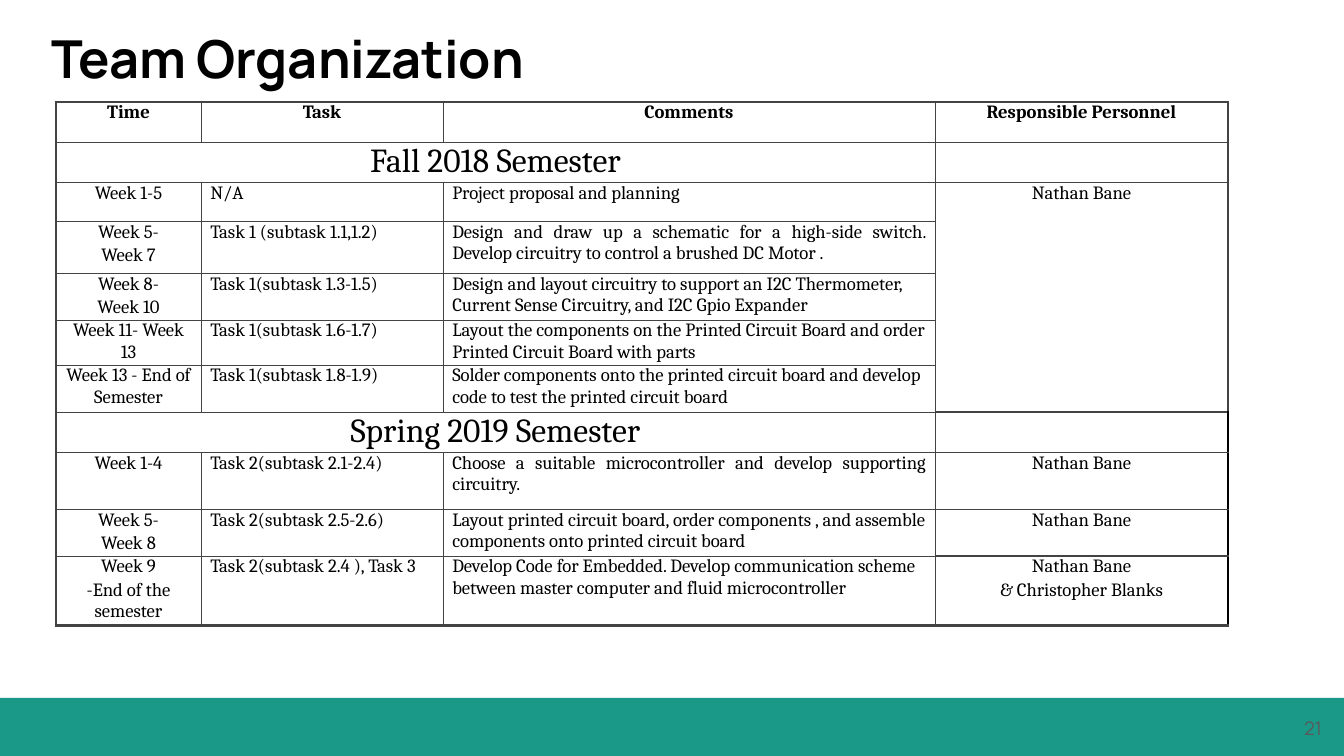
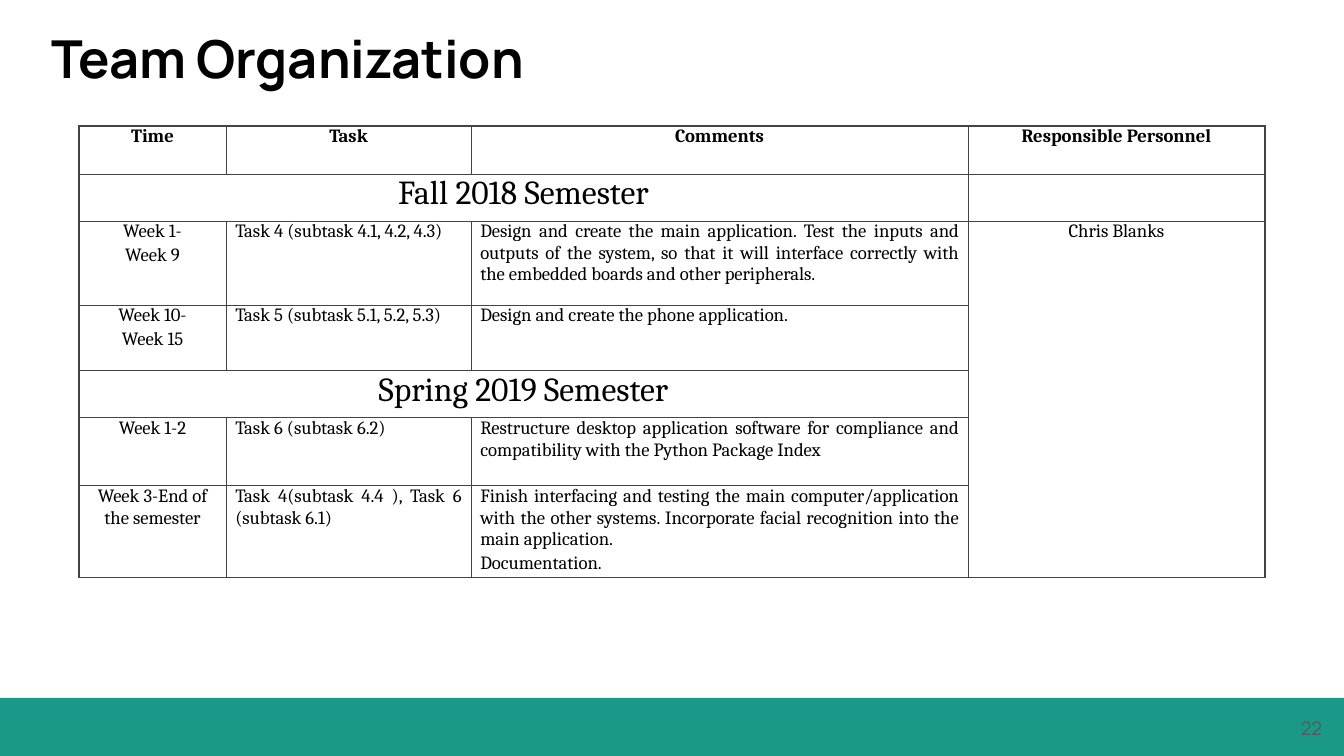
"""Build two team organization schedule slides."""
from dataclasses import dataclass, field
from typing import NamedTuple

from lxml import etree
from pptx import Presentation
from pptx import util as u
from pptx.dml.color import RGBColor
from pptx.enum import shapes, text
from pptx.oxml import ns

EMU_PER_PX = 914400 * 10 / 1344
ALIGN = text.PP_ALIGN


@dataclass(frozen=True)
class Theme:
    """Colours, fonts, sizes and line widths shared by the slides."""

    ink: str = "000000"
    band: str = "1A9988"
    rule: str = "434343"
    number: str = "595959"
    title_font: str = "Manrope"
    body_font: str = "Cambria"
    title_size: int = 28
    semester_size: int = 18
    body_size: int = 10
    thin: float = 0.5
    medium: float = 0.75
    thick: float = 1.5


THEME = Theme()


class Box(NamedTuple):
    """A rectangle in px."""

    left: int
    top: int
    width: int
    height: int


class Semester(NamedTuple):
    """A heading row across the first three columns."""

    height: int
    name: str


class Assignment(NamedTuple):
    """A row of work; lines within a cell are split by newlines."""

    height: int
    time: str
    task: str
    comments: str
    person: str = ""
    align: ALIGN = ALIGN.LEFT


@dataclass(frozen=True)
class Schedule:
    """One slide's table, with its merges and special borders."""

    number: int
    left: int
    top: int
    columns: tuple[int, ...]
    header_height: int
    rows: tuple[Semester | Assignment, ...]
    person_span: tuple[int, int]
    bottom: float
    person_rules: dict[int, float] = field(default_factory=dict)
    black_from: int | None = None


HEADINGS = ("Time", "Task", "Comments", "Responsible Personnel")
TITLE_BOX = Box(27, 13, 521, 79)
BAND_BOX = Box(0, 698, 1344, 58)
NUMBER_BOX = Box(1264, 706, 58, 44)

SCHEDULES = (
    Schedule(
        number=21, left=56, top=102, columns=(145, 242, 492, 293), header_height=40,
        rows=(
            Semester(40, "Fall 2018 Semester"),
            Assignment(39, "Week 1-5", "N/A", "Project proposal and planning", "Nathan Bane",
                       ALIGN.JUSTIFY),
            Assignment(52, "Week 5-\nWeek 7", "Task 1 (subtask 1.1,1.2)",
                       "Design and draw up a schematic for a high-side switch. "
                       "Develop circuitry to control a brushed DC Motor .",
                       align=ALIGN.JUSTIFY),
            Assignment(45, "Week 8-\nWeek 10", "Task 1(subtask 1.3-1.5)",
                       "Design and layout circuitry to support an I2C Thermometer, "
                       "Current Sense Circuitry, and I2C Gpio Expander"),
            Assignment(43, "Week 11- Week 13", "Task 1(subtask 1.6-1.7)",
                       "Layout the components on the Printed Circuit Board and "
                       "order Printed Circuit Board with parts"),
            Assignment(47, "Week 13 - End of Semester", "Task 1(subtask 1.8-1.9)",
                       "Solder components onto the printed circuit board and develop "
                       "code to test the printed circuit board"),
            Semester(39, "Spring 2019 Semester"),
            Assignment(57, "Week 1-4", "Task 2(subtask 2.1-2.4)",
                       "Choose a suitable microcontroller and develop supporting circuitry.",
                       "Nathan Bane", ALIGN.JUSTIFY),
            Assignment(45, "Week 5-\nWeek 8", "Task 2(subtask 2.5-2.6)",
                       "Layout printed circuit board, order components , and "
                       "assemble components onto printed circuit board", "Nathan Bane"),
            Assignment(67, "Week 9\n-End of the semester", "Task 2(subtask 2.4 ), Task 3",
                       "Develop Code for Embedded. Develop communication scheme "
                       "between master computer and fluid microcontroller",
                       "Nathan Bane\n& Christopher Blanks"),
        ),
        person_span=(2, 6), bottom=THEME.thick, black_from=7,
        person_rules={7: THEME.medium, 8: THEME.medium, 9: THEME.medium, 10: THEME.thick},
    ),
    Schedule(
        number=22, left=79, top=126, columns=(147, 245, 497, 297), header_height=48,
        rows=(
            Semester(47, "Fall 2018 Semester"),
            Assignment(84, "Week 1-\nWeek 9", "Task 4 (subtask 4.1, 4.2, 4.3)",
                       "Design and create the main application. Test the inputs and "
                       "outputs of the system, so that it will interface correctly with "
                       "the embedded boards and other peripherals.", "Chris Blanks",
                       ALIGN.JUSTIFY),
            Assignment(66, "Week 10-\nWeek 15", "Task 5 (subtask 5.1, 5.2, 5.3)",
                       "Design and create the phone application."),
            Semester(47, "Spring 2019 Semester"),
            Assignment(68, "Week 1-2", "Task 6 (subtask 6.2)",
                       "Restructure desktop application software for compliance and "
                       "compatibility with the Python Package Index", align=ALIGN.JUSTIFY),
            Assignment(88, "Week 3-End of the semester",
                       "Task 4(subtask 4.4 ), Task 6 (subtask 6.1)",
                       "Finish interfacing and testing the main computer/application "
                       "with the other systems. Incorporate facial recognition into the "
                       "main application.\nDocumentation.", align=ALIGN.JUSTIFY),
        ),
        person_span=(2, 6), bottom=THEME.thin,
    ),
)


def px(length: int) -> u.Emu:
    """Turn px into EMU."""
    return u.Emu(round(length * EMU_PER_PX))


def place(box: Box) -> tuple[u.Emu, ...]:
    """Give a box's position and size in EMU."""
    return tuple(px(length) for length in box)


def add_run(paragraph, words: str, size: float, font: str, color: str, bold: bool = False) -> None:
    """Append a styled run to a paragraph."""
    run = paragraph.add_run()
    run.text = words
    run.font.size = u.Pt(size)
    run.font.name = font
    run.font.bold = bold
    run.font.color.rgb = RGBColor.from_string(color)


def add_label(slide, box: Box, words: str, size: float, color: str, align: ALIGN,
              anchor: text.MSO_ANCHOR, bold: bool = False) -> None:
    """Draw a one-line text box in the title font."""
    frame = slide.shapes.add_textbox(*place(box)).text_frame
    frame.word_wrap = True
    frame.vertical_anchor = anchor
    frame.margin_left = frame.margin_right = frame.margin_top = frame.margin_bottom = u.Inches(0.1)
    if anchor == text.MSO_ANCHOR.MIDDLE:
        frame.margin_left = frame.margin_right = 0
    frame.paragraphs[0].alignment = align
    add_run(frame.paragraphs[0], words, size, THEME.title_font, color, bold)


def fill_cell(cell, words: str, align: ALIGN, size: float = THEME.body_size,
              bold: bool = False) -> None:
    """Write the lines of a table cell."""
    cell.margin_left = cell.margin_right = u.Inches(0.07)
    cell.margin_top = cell.margin_bottom = 0
    cell.fill.background()
    frame = cell.text_frame
    lines = words.split("\n")
    for index, line in enumerate(lines):
        paragraph = frame.add_paragraph() if index else frame.paragraphs[0]
        paragraph.alignment = align
        if index:
            paragraph.space_before = u.Pt(1)
        if line:
            add_run(paragraph, line, size, THEME.body_font, THEME.ink, bold)
        else:
            end = etree.SubElement(paragraph._p, ns.qn("a:endParaRPr"))
            end.set("sz", str(size * 100))
    paragraph.space_after = u.Pt(1)


def add_borders(cell, sides: dict[str, tuple[float, str]]) -> None:
    """Set a cell's border widths and colours."""
    properties = cell._tc.get_or_add_tcPr()
    for index, (side, (width, color)) in enumerate(sides.items()):
        line = etree.Element(ns.qn(f"a:ln{side}"), w=str(u.Pt(width)))
        solid = etree.SubElement(line, ns.qn("a:solidFill"))
        etree.SubElement(solid, ns.qn("a:srgbClr"), val=color)
        properties.insert(index, line)


def border_sides(schedule: Schedule, row: int, column: int) -> dict[str, tuple[float, str]]:
    """Work out the four borders of one cell."""
    last_row, last_column = len(schedule.rows), len(HEADINGS) - 1
    at_right = column == last_column
    black = at_right and schedule.black_from is not None and row >= schedule.black_from
    rules = schedule.person_rules if at_right else {}
    top = THEME.thick if row == 0 else rules.get(row, THEME.thin)
    bottom = schedule.bottom if row == last_row else rules.get(row + 1, THEME.thin)
    return {
        "L": (THEME.thin if column else THEME.thick, THEME.rule),
        "R": (THEME.thick if at_right else THEME.thin, THEME.ink if black else THEME.rule),
        "T": (top, THEME.rule),
        "B": (bottom, THEME.rule),
    }


def add_schedule(slide, schedule: Schedule) -> None:
    """Draw the schedule table."""
    heights = [schedule.header_height, *(row.height for row in schedule.rows)]
    box = Box(schedule.left, schedule.top, sum(schedule.columns), sum(heights))
    table = slide.shapes.add_table(len(heights), len(HEADINGS), *place(box)).table
    table.first_row = table.horz_banding = False
    for column, width in zip(table.columns, schedule.columns):
        column.width = px(width)
    for row, height in zip(table.rows, heights):
        row.height = px(height)

    for column, heading in enumerate(HEADINGS):
        fill_cell(table.cell(0, column), heading, ALIGN.CENTER, bold=True)
    for index, row in enumerate(schedule.rows, 1):
        if isinstance(row, Semester):
            fill_cell(table.cell(index, 0), row.name, ALIGN.CENTER, THEME.semester_size)
            for column in range(1, len(HEADINGS)):
                fill_cell(table.cell(index, column), "", ALIGN.CENTER)
            table.cell(index, 0).merge(table.cell(index, 2))
        else:
            entries = (row.time, row.task, row.comments, row.person)
            aligns = (ALIGN.CENTER, row.align, row.align, ALIGN.CENTER)
            for column, (entry, align) in enumerate(zip(entries, aligns)):
                fill_cell(table.cell(index, column), entry, align)
    first, last = schedule.person_span
    table.cell(first, 3).merge(table.cell(last, 3))

    for row in range(len(heights)):
        for column in range(len(HEADINGS)):
            add_borders(table.cell(row, column), border_sides(schedule, row, column))


def add_slide(deck, schedule: Schedule) -> None:
    """Add a slide with its band, title, number and schedule."""
    slide = deck.slides.add_slide(deck.slide_layouts[6])
    band = slide.shapes.add_shape(shapes.MSO_SHAPE.RECTANGLE, *place(BAND_BOX))
    band.shadow.inherit = False
    band.fill.solid()
    band.fill.fore_color.rgb = RGBColor.from_string(THEME.band)
    band.line.fill.background()
    add_label(slide, TITLE_BOX, "Team Organization", THEME.title_size, THEME.ink,
              ALIGN.CENTER, text.MSO_ANCHOR.TOP, bold=True)
    add_label(slide, NUMBER_BOX, str(schedule.number), THEME.body_size, THEME.number,
              ALIGN.RIGHT, text.MSO_ANCHOR.MIDDLE)
    add_schedule(slide, schedule)


def main() -> None:
    """Build and save the deck."""
    deck = Presentation()
    deck.slide_width, deck.slide_height = px(1344), px(756)
    for schedule in SCHEDULES:
        add_slide(deck, schedule)
    deck.save("out.pptx")


if __name__ == "__main__":
    main()
